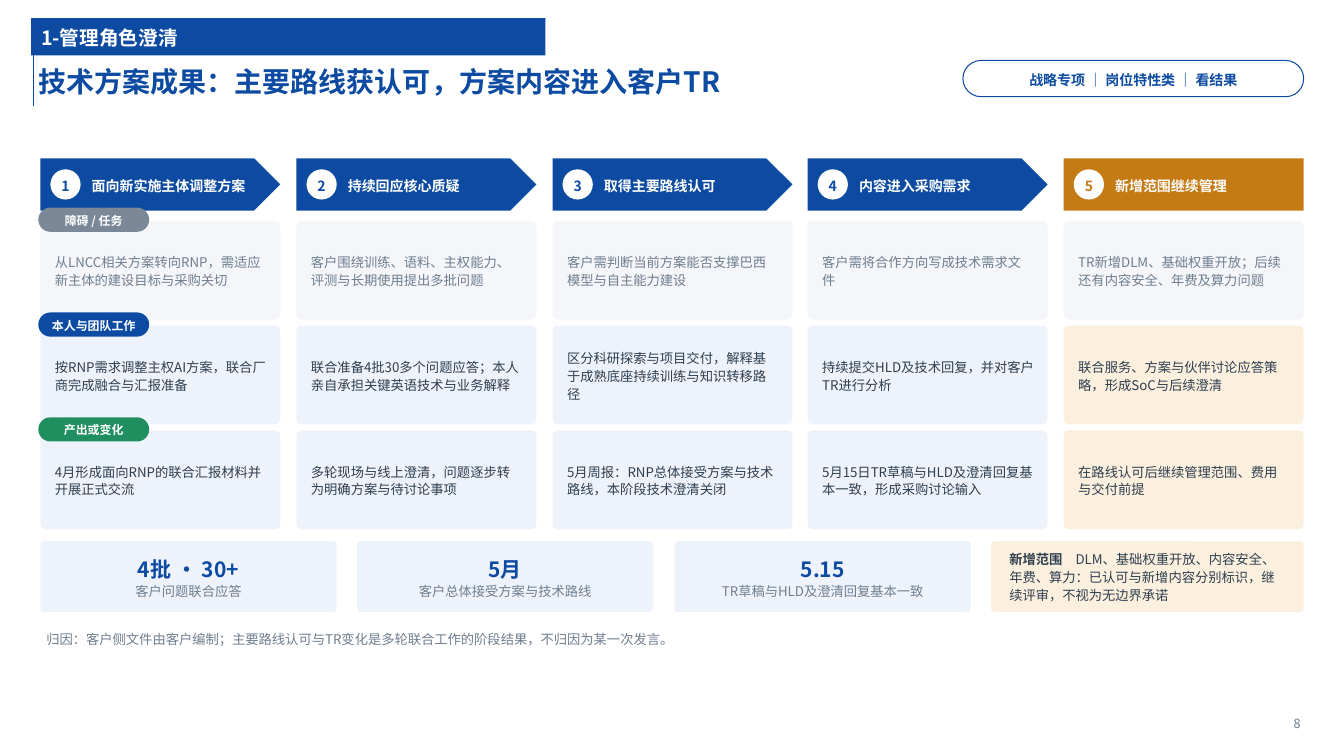
from dataclasses import dataclass

from lxml.etree import SubElement
from pptx import Presentation
from pptx.dml.color import RGBColor
from pptx.enum.shapes import MSO_CONNECTOR as Connector, MSO_SHAPE as Shape
from pptx.enum.text import MSO_ANCHOR as Anchor, MSO_AUTO_SIZE as AutoSize, PP_ALIGN as Align
from pptx.oxml.ns import qn
from pptx.util import Pt

PX = 9144


@dataclass(frozen=True)
class Theme:
    """Colours, type sizes and font of the slide."""
    font: str = "Noto Sans CJK SC"
    spacing: float = 1.12
    blue: str = "0C4BA1"
    amber: str = "C57B14"
    green: str = "1F8F5F"
    slate: str = "7A8898"
    muted: str = "6F7E8F"
    ink: str = "2F3E4F"
    white: str = "FFFFFF"
    pale_grey: str = "F4F6F9"
    pale_blue: str = "EEF3FB"
    pale_amber: str = "FBF0DD"
    title: float = 20
    section: float = 14
    stat: float = 15
    heading: float = 10
    body: float = 9.5
    badge: float = 8.5
    page_number: float = 9


class SlideBuilder:
    """Draws styled elements on one slide, measured in px."""

    def __init__(self, page, theme):
        self.page = page
        self.theme = theme

    def span(self, para, text, size, color, bold=False):
        """Add one formatted run to a paragraph."""
        span = para.add_run()
        span.text = text
        values = {"name": self.theme.font, "size": Pt(size), "bold": bold}
        for name, value in values.items():
            setattr(span.font, name, value)
        span.font.color.rgb = RGBColor.from_string(color)
        SubElement(span.font._element, qn("a:ea"), typeface=self.theme.font)

    def fill_text(self, box, paras, align=Align.LEFT, insets=(6, 4, 6, 4)):
        """Fill a box with paragraphs, each a list of run tuples."""
        frame = box.text_frame
        left, top, right, bottom = (inset * PX for inset in insets)
        values = {"word_wrap": True, "auto_size": AutoSize.NONE,
                  "vertical_anchor": Anchor.MIDDLE, "margin_left": left,
                  "margin_top": top, "margin_right": right, "margin_bottom": bottom}
        for name, value in values.items():
            setattr(frame, name, value)
        for index, spans in enumerate(paras):
            para = frame.add_paragraph() if index else frame.paragraphs[0]
            values = {"alignment": align, "line_spacing": self.theme.spacing,
                      "space_before": Pt(0)}
            for name, value in values.items():
                setattr(para, name, value)
            for span in spans:
                self.span(para, *span)

    def title(self, at, text):
        """Move and format the title placeholder."""
        box = self.page.shapes.title
        for name, value in zip(("left", "top", "width", "height"), at):
            setattr(box, name, value * PX)
        self.fill_text(box, [[(text, self.theme.title, self.theme.blue, True)]],
                       insets=(5, 0, 5, 0))

    def shape(self, kind, at, fill, line=None, corner=None):
        """Add a flat preset shape."""
        box = self.page.shapes.add_shape(kind, *(length * PX for length in at))
        box.shadow.inherit = False
        box.fill.solid()
        box.fill.fore_color.rgb = RGBColor.from_string(fill)
        if line:
            box.line.color.rgb = RGBColor.from_string(line)
            box.line.width = Pt(0.75)
        else:
            box.line.fill.background()
        if corner is not None:
            box.adjustments[0] = corner
        return box

    def panel(self, at, fill):
        """Add a softly rounded card."""
        return self.shape(Shape.ROUNDED_RECTANGLE, at, fill, corner=0.05)

    def pill(self, at, text, size, color, fill, line=None):
        """Add a capsule with a centred bold label."""
        box = self.shape(Shape.ROUNDED_RECTANGLE, at, fill, line, 0.5)
        self.fill_text(box, [[(text, size, color, True)]], Align.CENTER, (4, 0, 4, 0))

    def text(self, at, text, size, color, align=Align.LEFT, insets=(6, 4, 6, 4)):
        """Add a plain text box."""
        box = self.page.shapes.add_textbox(*(length * PX for length in at))
        self.fill_text(box, [[(text, size, color)]], align, insets)

    def line(self, start, end, color):
        """Add a thin straight line."""
        ends = (length * PX for length in (*start, *end))
        line = self.page.shapes.add_connector(Connector.STRAIGHT, *ends)
        line.line.color.rgb = RGBColor.from_string(color)
        line.line.width = Pt(1)
        SubElement(line._element.spPr, qn("a:effectLst"))

    def step(self, left, number, text, kind, color):
        """Add a numbered column heading."""
        theme = self.theme
        box = self.shape(kind, (left, 157, 238, 52), color)
        self.fill_text(box, [[(text, theme.heading, theme.white, True)]],
                       insets=(51, 4, 6, 4))
        circle = self.shape(Shape.OVAL, (left + 10, 168, 30, 30), theme.white)
        self.fill_text(circle, [[(str(number), theme.heading, color, True)]],
                       Align.CENTER, (0, 0, 0, 0))


STEPS = ["面向新实施主体调整方案", "持续回应核心质疑", "取得主要路线认可",
         "内容进入采购需求", "新增范围继续管理"]
TASKS = ["从LNCC相关方案转向RNP，需适应新主体的建设目标与采购关切",
         "客户围绕训练、语料、主权能力、评测与长期使用提出多批问题",
         "客户需判断当前方案能否支撑巴西模型与自主能力建设",
         "客户需将合作方向写成技术需求文件",
         "TR新增DLM、基础权重开放；后续还有内容安全、年费及算力问题"]
WORK = ["按RNP需求调整主权AI方案，联合厂商完成融合与汇报准备",
        "联合准备4批30多个问题应答；本人亲自承担关键英语技术与业务解释",
        "区分科研探索与项目交付，解释基于成熟底座持续训练与知识转移路径",
        "持续提交HLD及技术回复，并对客户TR进行分析",
        "联合服务、方案与伙伴讨论应答策略，形成SoC与后续澄清"]
RESULTS = ["4月形成面向RNP的联合汇报材料并开展正式交流",
           "多轮现场与线上澄清，问题逐步转为明确方案与待讨论事项",
           "5月周报：RNP总体接受方案与技术路线，本阶段技术澄清关闭",
           "5月15日TR草稿与HLD及澄清回复基本一致，形成采购讨论输入",
           "在路线认可后继续管理范围、费用与交付前提"]
STATS = [("4批 · 30+", "客户问题联合应答"), ("5月", "客户总体接受方案与技术路线"),
         ("5.15", "TR草稿与HLD及澄清回复基本一致")]


def main():
    """Build the slide and save the deck."""
    theme = Theme()
    deck = Presentation()
    deck.slide_width, deck.slide_height = 1333 * PX, 750 * PX
    slide = SlideBuilder(deck.slides.add_slide(deck.slide_layouts[5]), theme)

    slide.line((33, 24), (33, 105), theme.blue)
    slide.title((33, 53, 1150, 52), "技术方案成果：主要路线获认可，方案内容进入客户TR")
    section = slide.shape(Shape.RECTANGLE, (31, 18, 510, 37), theme.blue)
    slide.fill_text(section, [[("1-管理角色澄清", theme.section, theme.white, True)]],
                    insets=(10, 0, 5, 0))
    slide.pill((955, 60, 338, 36), "战略专项 ｜ 岗位特性类 ｜ 看结果",
               theme.heading, theme.blue, theme.white, theme.blue)

    lefts = [round(40 + 253.75 * column) for column in range(len(STEPS))]
    last = len(STEPS) - 1
    for column, (left, text) in enumerate(zip(lefts, STEPS)):
        kind, color = ((Shape.RECTANGLE, theme.amber) if column == last
                       else (Shape.PENTAGON, theme.blue))
        slide.step(left, column + 1, text, kind, color)

    rows = [("障碍 / 任务", theme.slate, theme.muted, theme.pale_grey, theme.pale_grey, TASKS),
            ("本人与团队工作", theme.blue, theme.ink, theme.pale_blue, theme.pale_amber, WORK),
            ("产出或变化", theme.green, theme.ink, theme.pale_blue, theme.pale_amber, RESULTS)]
    for row, (label, badge, color, fill, last_fill, cells) in enumerate(rows):
        top = 219 + 104 * row
        for column, (left, text) in enumerate(zip(lefts, cells)):
            card = slide.panel((left, top, 238, 98), last_fill if column == last else fill)
            slide.fill_text(card, [[(text, theme.body, color)]], insets=(13, 4, 12, 4))
        slide.pill((38, top - 13, 110, 24), label, theme.badge, theme.white, badge)

    for index, (value, label) in enumerate(STATS):
        card = slide.panel((round(40 + 314.5 * index), 537, 294, 70), theme.pale_blue)
        slide.fill_text(card, [[(value, theme.stat, theme.blue, True)],
                               [(label, theme.body, theme.muted)]], Align.CENTER, (4, 0, 4, 0))
    scope = slide.panel((983, 537, 310, 70), theme.pale_amber)
    slide.fill_text(scope, [[
        ("新增范围", theme.body, theme.ink, True),
        ("　DLM、基础权重开放、内容安全、年费、算力：已认可与新增内容分别标识，继续评审，不视为无边界承诺",
         theme.body, theme.ink)]], insets=(17, 4, 17, 4))
    slide.text((40, 615, 1253, 36),
               "归因：客户侧文件由客户编制；主要路线认可与TR变化是多轮联合工作的阶段结果，不归因为某一次发言。",
               theme.body, theme.muted)
    slide.text((1200, 702, 95, 30), "8", theme.page_number, theme.muted,
               Align.RIGHT, (0, 0, 5, 0))
    deck.save("out.pptx")


if __name__ == "__main__":
    main()
